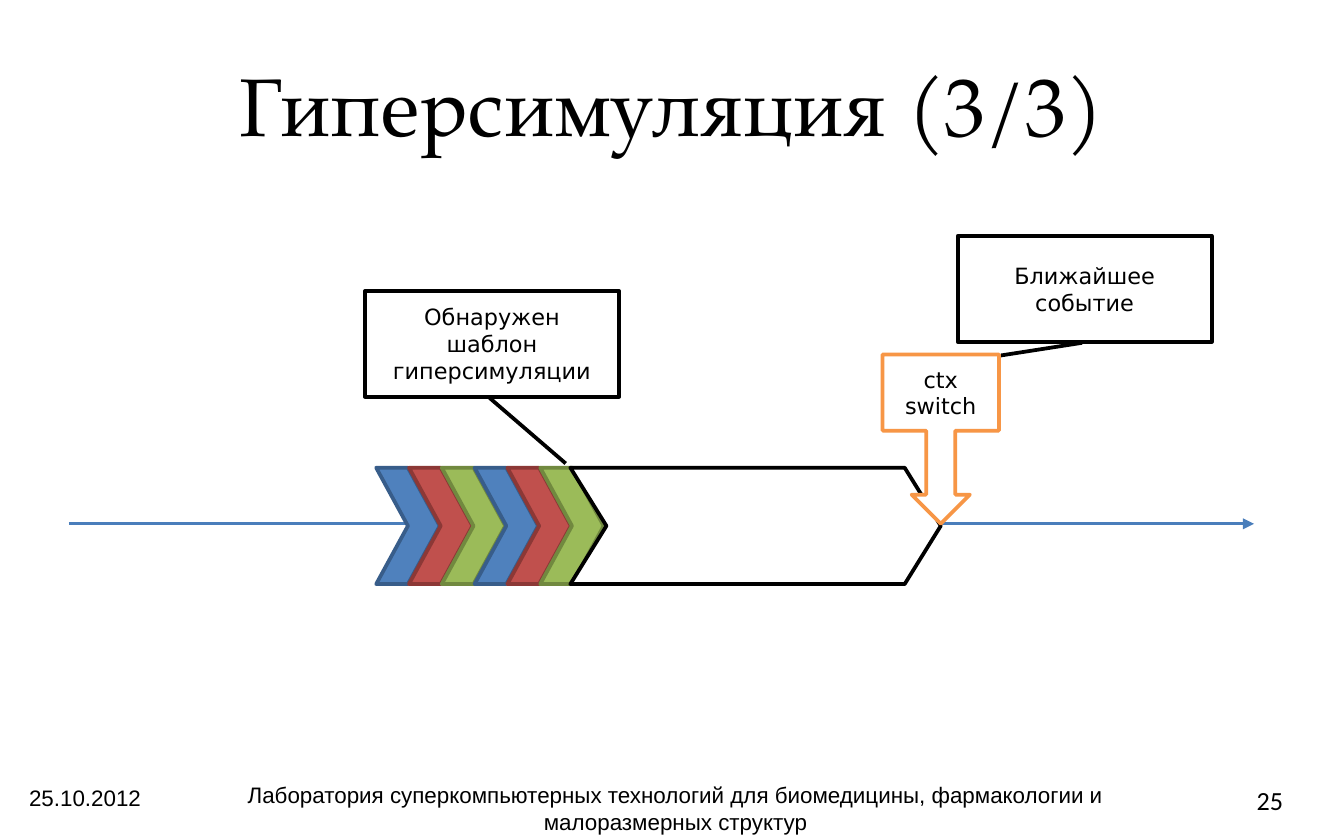
from dataclasses import dataclass

from lxml import etree
from pptx import Presentation
from pptx.dml.color import RGBColor
from pptx.enum.shapes import MSO_CONNECTOR, MSO_SHAPE
from pptx.enum.text import MSO_ANCHOR, PP_ALIGN
from pptx.oxml.ns import qn
from pptx.util import Cm, Pt

STRAIGHT = MSO_CONNECTOR.STRAIGHT
CHEVRON = MSO_SHAPE.CHEVRON
LINE_CALLOUT = MSO_SHAPE.LINE_CALLOUT_1
ARROW_CALLOUT = MSO_SHAPE.DOWN_ARROW_CALLOUT
MIDDLE = MSO_ANCHOR.MIDDLE
LEFT, CENTER = PP_ALIGN.LEFT, PP_ALIGN.CENTER
TITLE_ONLY = 5


@dataclass(frozen=True)
class Theme:
    black: str = "000000"
    white: str = "FFFFFF"
    axis: str = "4A7EBB"
    orange: str = "F79646"
    # Fill and outline of each instruction in the repeated pattern
    pattern: tuple = (("4F81BD", "385D8A"), ("C0504D", "8C3836"), ("9BBB59", "71893F"))
    title_font: str = "TeX Gyre Pagella"
    label_font: str = "DejaVu Sans"
    footer_font: str = "Arial"
    number_font: str = "Calibri"
    title_size: float = 44
    text_size: float = 12
    number_size: float = 14
    axis_width: float = 1.75
    outline_width: float = 2


def write_text(frame, text, *, font, size, color, align=LEFT):
    """Fill a text frame, one paragraph per line of text."""
    frame.word_wrap = True
    frame.text = text
    for paragraph in frame.paragraphs:
        paragraph.alignment = align
        for run in paragraph.runs:
            run.font.name = font
            run.font.size = Pt(size)
            run.font.color.rgb = RGBColor.from_string(color)


class SlideBuilder:
    """Adds styled elements to one slide; all lengths are in centimetres."""

    def __init__(self, slide, theme):
        self.slide = slide
        self.theme = theme

    def title(self, text, left, top, width, height):
        shape = self.slide.shapes.title
        shape.left, shape.top = Cm(left), Cm(top)
        shape.width, shape.height = Cm(width), Cm(height)
        shape.text_frame.vertical_anchor = MIDDLE
        write_text(shape.text_frame, text, font=self.theme.title_font,
                   size=self.theme.title_size, color=self.theme.black, align=CENTER)

    def text_box(self, text, left, top, width, height, **text_format):
        box = self.slide.shapes.add_textbox(Cm(left), Cm(top), Cm(width), Cm(height))
        write_text(box.text_frame, text, color=self.theme.black, **text_format)

    def arrow(self, start, end, color):
        connector = self.slide.shapes.add_connector(
            STRAIGHT, *(Cm(value) for value in (*start, *end)))
        connector.line.color.rgb = RGBColor.from_string(color)
        connector.line.width = Pt(self.theme.axis_width)
        properties = connector.line._get_or_add_ln()
        etree.SubElement(properties, qn("a:tailEnd"), type="triangle")
        etree.SubElement(properties.getparent(), qn("a:effectLst"))

    def shape(self, kind, left, top, width, height, *, fill, outline, adjustments, text=""):
        shape = self.slide.shapes.add_shape(kind, Cm(left), Cm(top), Cm(width), Cm(height))
        for index, value in enumerate(adjustments):
            shape.adjustments[index] = value
        shape.shadow.inherit = False
        shape.fill.solid()
        shape.fill.fore_color.rgb = RGBColor.from_string(fill)
        shape.line.color.rgb = RGBColor.from_string(outline)
        shape.line.width = Pt(self.theme.outline_width)
        if text:
            shape.text_frame.vertical_anchor = MIDDLE
            write_text(shape.text_frame, text, font=self.theme.label_font,
                       size=self.theme.text_size, color=self.theme.black, align=CENTER)

    def callout(self, text, left, top, pointer):
        """Add a box whose pointer is (start y, start x, end y, end x) in box fractions."""
        self.shape(LINE_CALLOUT, left, top, 4.8, 2, fill=self.theme.white,
                   outline=self.theme.black, adjustments=pointer, text=text)


def main():
    theme = Theme()
    presentation = Presentation()
    presentation.slide_width, presentation.slide_height = Cm(25.4), Cm(15.8)
    slide = presentation.slides.add_slide(presentation.slide_layouts[TITLE_ONLY])
    builder = SlideBuilder(slide, theme)

    builder.title("Гиперсимуляция (3/3)", 1.27, 0.64, 22.86, 2.64)
    footer = {"font": theme.footer_font, "size": theme.text_size}
    builder.text_box("25.10.2012", 0.3, 14.7, 2.8, 0.84, **footer)
    builder.text_box("Лаборатория суперкомпьютерных технологий для биомедицины, "
                     "фармакологии и малоразмерных структур",
                     2.9, 14.64, 19.74, 0.84, align=CENTER, **footer)
    builder.text_box("25", 23.5, 14.7, 1.42, 0.84,
                     font=theme.number_font, size=theme.number_size)

    axis_y = 9.9
    builder.arrow((1.3, axis_y), (23.7, axis_y), theme.axis)

    band_top, band_height = 8.84, 2.2
    first_left, pitch, repeats = 7.11, 0.62, 2
    for index, (fill, outline) in enumerate(theme.pattern * repeats):
        builder.shape(CHEVRON, first_left + index * pitch, band_top, 1.2, band_height,
                      fill=fill, outline=outline, adjustments=[0.5])
    builder.shape(CHEVRON, 10.78, band_top, 7, band_height, fill=theme.white,
                  outline=theme.black, adjustments=[0.31])

    builder.callout("Обнаружен шаблон гиперсимуляции", 6.9, 5.5, (1.01, 0.49, 1.63, 0.79))
    builder.callout("Ближайшее событие", 18.1, 4.46, (1.01, 0.49, 1.13, 0.17))
    builder.shape(ARROW_CALLOUT, 16.68, 6.7, 2.2, 3.2, fill=theme.white,
                  outline=theme.orange, adjustments=[0.25, 0.25, 0.25, 0.45],
                  text="ctx\nswitch")

    presentation.save("out.pptx")


if __name__ == "__main__":
    main()
